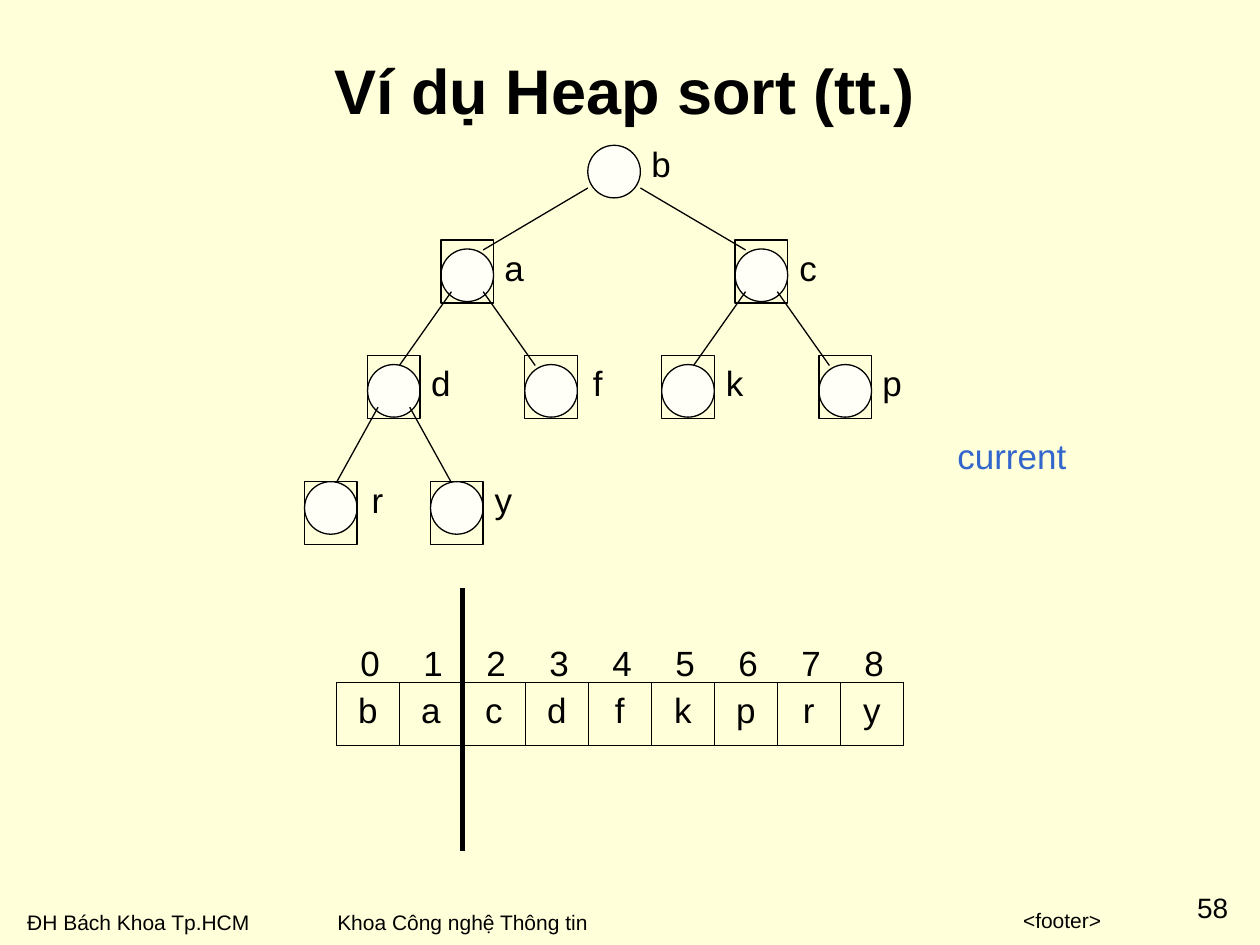
"""Build the heap sort slide with its tree and sorted array."""
from lxml.etree import SubElement
from pptx import Presentation
from pptx.dml.color import RGBColor
from pptx.enum.shapes import MSO_CONNECTOR, MSO_SHAPE
from pptx.enum.text import MSO_ANCHOR, PP_ALIGN
from pptx.oxml.ns import qn
from pptx.util import Cm, Pt

TITLE = "Ví dụ Heap sort (tt.)"
KEYS = "bacdfkpry"
ROWS = [
    (2.93, None, [("b", 11.85)]),
    (5.02, 4.84, [("a", 8.89), ("c", 14.82)]),
    (7.35, 7.17, [("d", 7.41), ("f", 10.58), ("k", 13.34), ("p", 16.51)]),
    (9.71, 9.71, [("r", 6.14), ("y", 8.68)]),
]
EDGES = [
    ("b", "a", 0, 0.85), ("b", "c", 1.06, 0.21),
    ("a", "d", 0.21, 0.64), ("a", "f", 0.85, 0.21),
    ("c", "k", 0.21, 0.64), ("c", "p", 0.85, 0.21),
    ("d", "r", 0.21, 0.64), ("d", "y", 0.85, 0.42),
]
LEFT, MID, RIGHT = PP_ALIGN.LEFT, PP_ALIGN.CENTER, PP_ALIGN.RIGHT
FOOT = [
    ("ĐH Bách Khoa Tp.HCM", (0.3, 18.21, 5, 0.77), LEFT),
    ("Khoa Công nghệ Thông tin", (6.55, 18.21, 5.56, 0.77), LEFT),
    ("<footer>", (8.05, 18.17, 14.4, 0.77), RIGHT),
]
CELL, NODE = 1.27, 1.06
ARRAY_X, ARRAY_Y = 6.78, 13.76
INK, PAPER, PEARL, BLUE = "000000", "FFFFD9", "FFFFF7", "3366CC"


def hue(code):
    return RGBColor.from_string(code)


def write(frame, text, size=20, align=MID, color=INK, bold=False):
    par = frame.paragraphs[0]
    par.text = text
    par.alignment = align
    font = par.font
    font.name, font.size, font.bold = "Arial", Pt(size), bold
    font.color.rgb = hue(color)


def label(slide, text, box, wrap=False, **style):
    frame = slide.shapes.add_textbox(*map(Cm, box)).text_frame
    frame.word_wrap = wrap
    write(frame, text, **style)
    return frame


def shape(slide, kind, box, fill=None):
    item = slide.shapes.add_shape(kind, *map(Cm, box))
    item.shadow.inherit = False
    if fill:
        item.fill.solid()
        item.fill.fore_color.rgb = hue(fill)
    else:
        item.fill.background()
    item.line.color.rgb = hue(INK)
    item.line.width = Pt(0.75)
    return item


def line(slide, ends, width=0.75):
    item = slide.shapes.add_connector(MSO_CONNECTOR.STRAIGHT, *map(Cm, ends))
    item.line.color.rgb = hue(INK)
    item.line.width = Pt(width)
    SubElement(item._element.spPr, qn("a:effectLst"))


def draw_array(slide):
    for i, key in enumerate(KEYS):
        x = ARRAY_X + i * CELL
        cell = shape(slide, MSO_SHAPE.RECTANGLE, (x, ARRAY_Y, CELL, CELL))
        cell.text_frame.vertical_anchor = MSO_ANCHOR.TOP
        write(cell.text_frame, key)
        label(slide, str(i), (x + 0.02, 12.8, 1.32, 1.11), wrap=True)
    shape(slide, MSO_SHAPE.RECTANGLE,
          (ARRAY_X, ARRAY_Y, len(KEYS) * CELL, CELL))
    split = ARRAY_X + 2 * CELL
    line(slide, (split, 11.85, split, 17.15), 3)


def draw_tree(slide):
    spots = {key: (x, y) for y, _, row in ROWS for key, x in row}
    for key, (x, y) in spots.items():
        shape(slide, MSO_SHAPE.OVAL, (x, y, NODE, NODE), PEARL)
        label(slide, key, (x + 1.03, y - 0.18, 0.88, 1.11))
    for up, down, start, end in EDGES:
        (x1, y1), (x2, y2) = spots[up], spots[down]
        line(slide, (x1 + start, y1 + 0.86, x2 + end, y2 + 0.02))
    for _, top, row in ROWS[1:]:
        for _, x in row:
            shape(slide, MSO_SHAPE.RECTANGLE, (x, top, NODE, CELL))


def main():
    deck = Presentation()
    deck.slide_width, deck.slide_height = Cm(25.4), Cm(19.05)
    slide = deck.slides.add_slide(deck.slide_layouts[6])
    slide.background.fill.solid()
    slide.background.fill.fore_color.rgb = hue(PAPER)
    for text, box, align in FOOT:
        label(slide, text, box, wrap=align == RIGHT, size=12, align=align)
    page = label(slide, "58", (23.9, 17.96, 1.09, 0.69), wrap=True, size=16)
    page.margin_left = page.margin_right = 0
    page.margin_top = page.margin_bottom = 0
    head = label(slide, TITLE, (2.34, 0.21, 20.52, 3.18), wrap=True,
                 size=36, bold=True)
    head.vertical_anchor = MSO_ANCHOR.MIDDLE
    draw_tree(slide)
    label(slide, "current", (18.9, 8.64, 3, 1.11), color=BLUE)
    draw_array(slide)
    deck.save("out.pptx")


if __name__ == "__main__":
    main()
